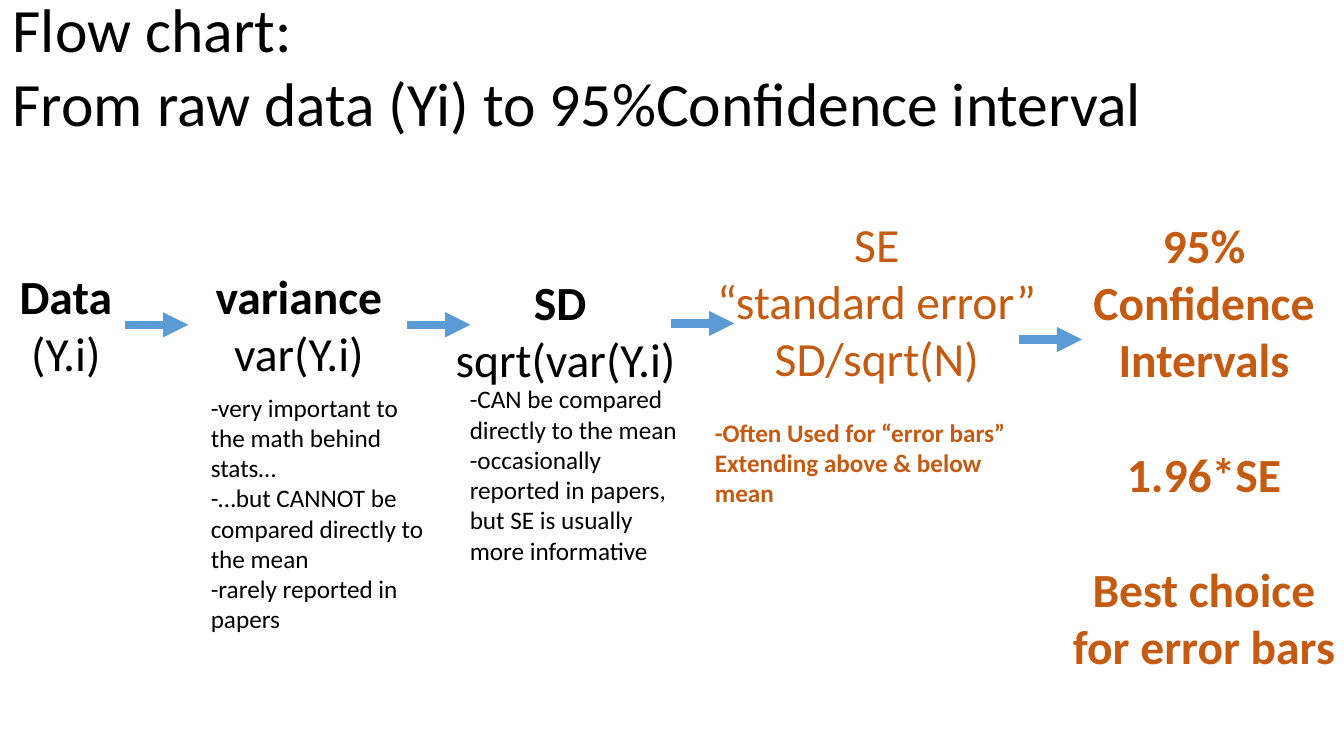
from dataclasses import dataclass

from lxml.etree import SubElement
from pptx import Presentation
from pptx.dml.color import RGBColor
from pptx.enum.shapes import MSO_CONNECTOR as Connector
from pptx.enum.text import MSO_AUTO_SIZE as AutoSize, PP_ALIGN as Align
from pptx.oxml.ns import qn
from pptx.util import Pt


@dataclass(frozen=True)
class Theme:
    """Colours, font and type sizes of the slide."""
    font: str = "Calibri"
    ink: str = "000000"
    accent: str = "C55A11"
    arrow: str = "5B9BD5"
    title: float = 44
    step: float = 34
    note: float = 18
    line_height: float = 1.22


THEME = Theme()


@dataclass(frozen=True)
class Line:
    """One paragraph and its format."""
    text: str
    size: float = THEME.step
    bold: bool = False
    color: str = THEME.ink
    align: Align = Align.CENTER
    gap: float = 0


@dataclass(frozen=True)
class Box:
    """A text box, in points."""
    left: float
    top: float
    width: float
    height: float
    lines: tuple[Line, ...]


@dataclass(frozen=True)
class Arrow:
    """Start of a horizontal arrow, in points."""
    left: float
    top: float
    length: float = 45


def line(text: str, **style) -> Line:
    """Describe a centred line of a step."""
    return Line(text, **style)


def note(text: str, **style) -> Line:
    """Describe a small left-aligned line."""
    return Line(text, size=THEME.note, align=Align.LEFT, **style)


def title(text: str) -> Line:
    """Describe a line of the title."""
    return Line(text, size=THEME.title, align=Align.LEFT)


def result(text: str, **style) -> Line:
    """Describe a bold accent line of the final step."""
    return Line(text, bold=True, color=THEME.accent, **style)


STEP_GAP = THEME.step * THEME.line_height
NOTE_GAP = THEME.note * THEME.line_height

BOXES = (
    Box(2, -10, 958, 114, (
        title("Flow chart:"),
        title("From raw data (Yi) to 95%Confidence interval"))),
    Box(4.5, 187, 85, 90, (line("Data", bold=True), line("(Y.i)"))),
    Box(106.5, 187, 214, 90, (line("variance", bold=True), line("var(Y.i)"))),
    Box(305.5, 191.5, 197, 131, (
        line("SD ", bold=True), line("sqrt(var(Y.i)"))),
    Box(503.5, 150, 245.5, 240, (
        line("SE", color=THEME.accent),
        line("“standard error”", color=THEME.accent),
        line("SD/sqrt(N)", color=THEME.accent),
        note("-Often Used for “error bars”", bold=True, color=THEME.accent,
             gap=NOTE_GAP),
        note("Extending above & below mean", bold=True, color=THEME.accent))),
    Box(753, 150.5, 214, 337, (
        result("95% Confidence Intervals"),
        result("1.96*SE", gap=STEP_GAP),
        result("Best choice for error bars", gap=STEP_GAP))),
    Box(143.5, 276.5, 171.5, 181.5, (
        note("-very important to the math behind stats…"),
        note("-…but CANNOT be compared directly to the mean"),
        note("-rarely reported in papers"))),
    Box(328.5, 270.5, 171.5, 138, (
        note("-CAN be compared directly to the mean"),
        note("-occasionally reported in papers, but SE is usually "
             "more informative"))),
)

ARROWS = (Arrow(89.5, 232), Arrow(291, 232), Arrow(479.5, 231),
          Arrow(728, 242.5))


def write(paragraph, text: str, *, size: float, bold: bool, color: str,
          align: Align, gap: float) -> None:
    """Fill a paragraph with formatted text."""
    paragraph.alignment = align
    paragraph.space_before = Pt(gap)
    run = paragraph.add_run()
    run.text = text
    run.font.name = THEME.font
    run.font.size = Pt(size)
    run.font.bold = bold
    run.font.color.rgb = RGBColor.from_string(color)


def draw_box(slide, box: Box) -> None:
    """Add a text box with all its lines."""
    shape = slide.shapes.add_textbox(
        Pt(box.left), Pt(box.top), Pt(box.width), Pt(box.height))
    frame = shape.text_frame
    frame.word_wrap = True
    frame.auto_size = AutoSize.SHAPE_TO_FIT_TEXT
    for index, item in enumerate(box.lines):
        paragraph = frame.add_paragraph() if index else frame.paragraphs[0]
        write(paragraph, item.text, size=item.size, bold=item.bold,
              color=item.color, align=item.align, gap=item.gap)


def draw_arrow(slide, arrow: Arrow) -> None:
    """Add a thick arrow pointing right."""
    connector = slide.shapes.add_connector(
        Connector.STRAIGHT, Pt(arrow.left), Pt(arrow.top),
        Pt(arrow.left + arrow.length), Pt(arrow.top))
    connector.line.width = Pt(6)
    connector.line.color.rgb = RGBColor.from_string(THEME.arrow)
    SubElement(connector.line._get_or_add_ln(), qn("a:tailEnd"),
               type="triangle")
    SubElement(connector._element.spPr, qn("a:effectLst"))


def main() -> None:
    """Build and save the slide."""
    presentation = Presentation()
    presentation.slide_width = Pt(960)
    presentation.slide_height = Pt(540)
    slide = presentation.slides.add_slide(presentation.slide_layouts[6])
    for box in BOXES:
        draw_box(slide, box)
    for arrow in ARROWS:
        draw_arrow(slide, arrow)
    presentation.save("out.pptx")


main()
